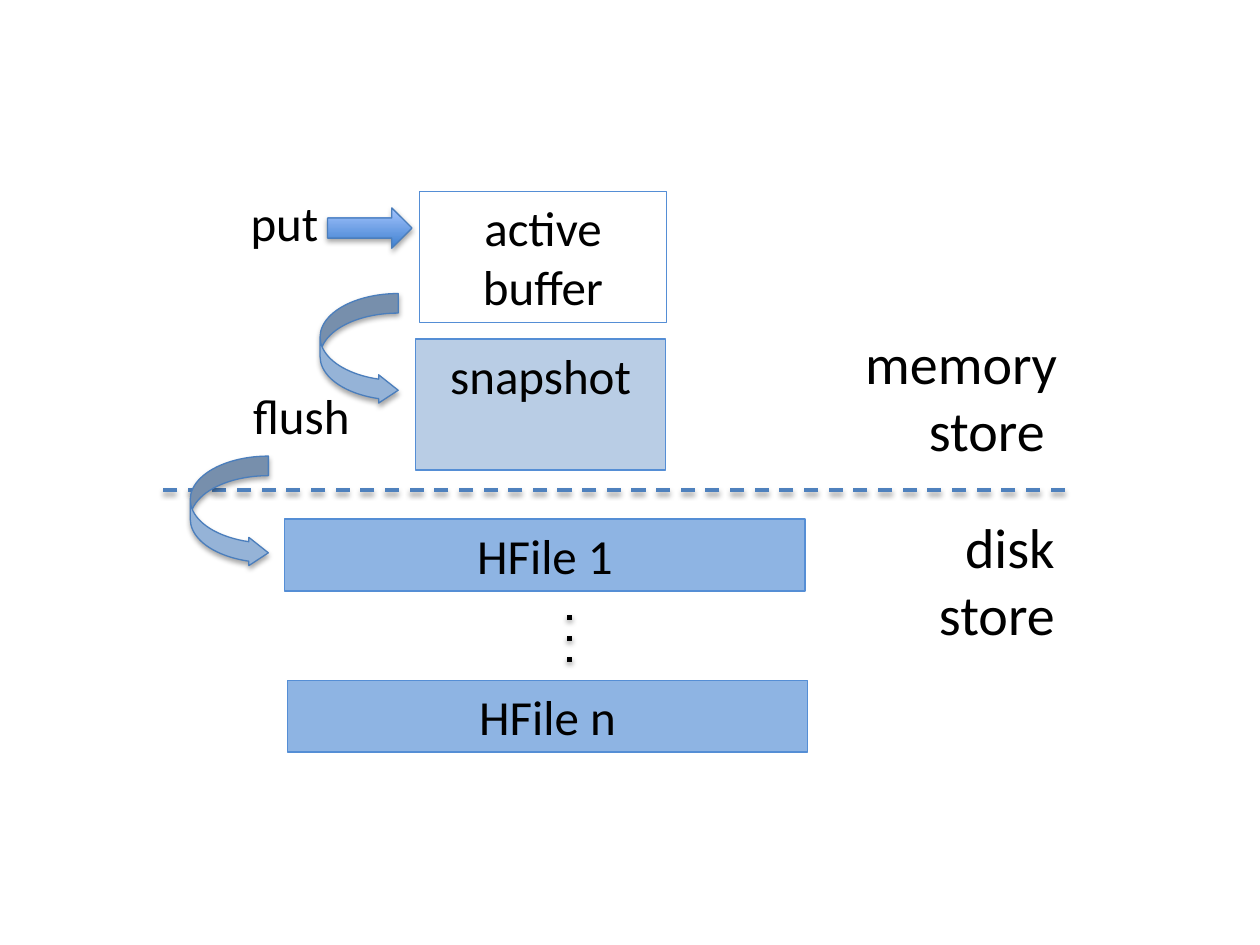
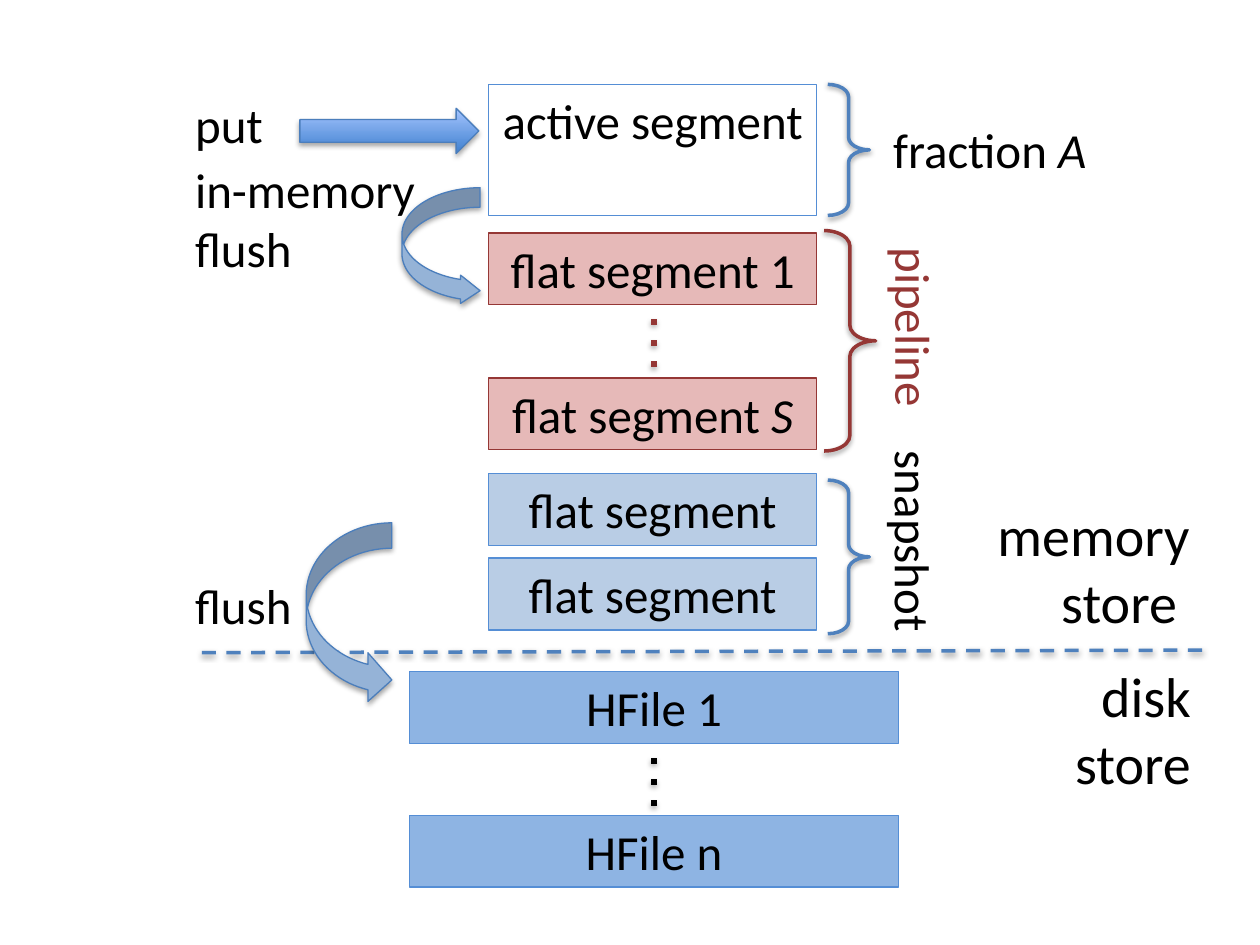
from lxml import etree
from pptx import Presentation
from pptx.dml.color import RGBColor
from pptx.enum.shapes import MSO_CONNECTOR, MSO_SHAPE
from pptx.enum.text import MSO_ANCHOR, MSO_AUTO_SIZE, PP_ALIGN
from pptx.oxml.ns import qn
from pptx.util import Inches, Pt

# Enum members
RECTANGLE = MSO_SHAPE.RECTANGLE
RIGHT_ARROW = MSO_SHAPE.RIGHT_ARROW
CURVED_ARROW = MSO_SHAPE.CURVED_RIGHT_ARROW
RIGHT_BRACE = MSO_SHAPE.RIGHT_BRACE
STRAIGHT = MSO_CONNECTOR.STRAIGHT
LEFT, CENTER, RIGHT = PP_ALIGN.LEFT, PP_ALIGN.CENTER, PP_ALIGN.RIGHT
TOP = MSO_ANCHOR.TOP
GROW = MSO_AUTO_SIZE.SHAPE_TO_FIT_TEXT

# Shared look
FONT = "Calibri"
BLACK = RGBColor(0x00, 0x00, 0x00)
ACCENT_BLUE = RGBColor(0x4F, 0x81, 0xBD)
BORDER_BLUE = RGBColor(0x55, 0x8E, 0xD5)
ARROW_BORDER = RGBColor(0x4B, 0x7E, 0xBC)
ARROW_DARK = RGBColor(0x3F, 0x80, 0xCE)
ARROW_LIGHT = RGBColor(0xA4, 0xC4, 0xFF)
CURVE_BLUE = RGBColor(0x95, 0xB3, 0xD7)
SNAPSHOT_BLUE = RGBColor(0xB9, 0xCD, 0xE5)
DISK_BLUE = RGBColor(0x8E, 0xB4, 0xE3)
PIPELINE_PINK = RGBColor(0xE6, 0xB9, 0xB8)
PIPELINE_RED = RGBColor(0x95, 0x37, 0x35)
BAR_HEIGHT = 0.57
TALL_HEIGHT = 1.04


# Basic parts; every box is (left, top, width, height) in inches
def inches(*lengths):
    return [Inches(length) for length in lengths]


def add_shadow(shape, opacity, distance):
    properties = shape._element.spPr
    effects = properties.find(qn("a:effectLst"))
    if effects is None:
        effects = etree.SubElement(properties, qn("a:effectLst"))
    shadow = etree.SubElement(effects, qn("a:outerShdw"), blurRad=str(Pt(3.1)),
                              dist=str(Pt(distance)), dir="5400000", rotWithShape="0")
    color = etree.SubElement(shadow, qn("a:srgbClr"), val=str(BLACK))
    etree.SubElement(color, qn("a:alpha"), val=str(opacity * 1000))


def write_text(shape, text, size=28, color=BLACK, align=LEFT, wrap=True, italic_tail=""):
    """Write one paragraph per line of text; italic_tail ends the last one."""
    frame = shape.text_frame
    frame.word_wrap = wrap
    frame.auto_size = GROW
    frame.vertical_anchor = TOP
    frame.text = text
    if italic_tail:
        frame.paragraphs[-1].add_run().text = italic_tail
    for paragraph in frame.paragraphs:
        paragraph.alignment = align
        for run in paragraph.runs:
            run.font.name = FONT
            run.font.size = Pt(size)
            run.font.color.rgb = color
    if italic_tail:
        frame.paragraphs[-1].runs[-1].font.italic = True


def add_label(slide, box, text, rotation=0, **text_format):
    label = slide.shapes.add_textbox(*inches(*box))
    label.rotation = rotation
    write_text(label, text, **text_format)


def add_outlined_shape(slide, kind, box, border, fill=None, width=0.75):
    shape = slide.shapes.add_shape(kind, *inches(*box))
    shape.shadow.inherit = False
    shape.line.color.rgb = border
    shape.line.width = Pt(width)
    if fill is None:
        shape.fill.background()
    else:
        shape.fill.solid()
        shape.fill.fore_color.rgb = fill
    return shape


def add_block(slide, box, text, fill=None, border=BORDER_BLUE, **text_format):
    block = add_outlined_shape(slide, RECTANGLE, box, border, fill)
    write_text(block, text, align=CENTER, **text_format)


def add_put_arrow(slide, box):
    arrow = add_outlined_shape(slide, RIGHT_ARROW, box, ARROW_BORDER)
    arrow.fill.gradient()
    arrow.fill.gradient_angle = 90
    for stop, color in zip(arrow.fill.gradient_stops, (ARROW_DARK, ARROW_LIGHT)):
        stop.color.rgb = color
    add_shadow(arrow, 35, 1.8)


def add_flush_arrow(slide, box, adjustments=(0.25, 0.362, 0.25)):
    arrow = add_outlined_shape(slide, CURVED_ARROW, box, ARROW_BORDER, CURVE_BLUE)
    for index, value in enumerate(adjustments):
        arrow.adjustments[index] = value
    add_shadow(arrow, 35, 1.8)


def add_brace(slide, box, color=ACCENT_BLUE):
    brace = add_outlined_shape(slide, RIGHT_BRACE, box, color, width=2)
    brace.adjustments[0] = 0.301
    add_shadow(brace, 38, 1.6)


def add_broken_line(slide, start, end, color, width, dash):
    line = slide.shapes.add_connector(STRAIGHT, *inches(*start, *end))
    line.line.color.rgb = color
    line.line.width = Pt(width)
    outline = line._element.spPr.find(qn("a:ln"))
    etree.SubElement(outline, qn("a:prstDash"), val=dash)
    add_shadow(line, 38, 1.6)


def add_dots(slide, x, top, color=BLACK):
    add_broken_line(slide, (x, top + 0.45), (x, top), color, 3, "dot")


# Regions
def draw_store_boundary(slide, start, end, memory_corner, disk_corner):
    """Dashed line with the store names above and below it."""
    add_broken_line(slide, start, end, ACCENT_BLUE, 2, "dash")
    add_label(slide, (*memory_corner, 1.79, 1.18), "memory store ", size=32, align=RIGHT)
    add_label(slide, (*disk_corner, 1.23, 1.18), "disk store", size=32, align=RIGHT)


def draw_disk_files(slide, box, dots_x, last_shift=0):
    """First and last file bars at the ends of the box, dots between them."""
    left, top, width, height = box
    add_block(slide, (left, top, width, BAR_HEIGHT), "HFile 1", DISK_BLUE)
    add_dots(slide, dots_x, top + height / 2 - 0.24)
    last_top = top + height - BAR_HEIGHT
    add_block(slide, (left + last_shift, last_top, width, BAR_HEIGHT), "HFile n", DISK_BLUE)


def draw_pipeline(slide, box):
    """Red flat segments with their brace and vertical name."""
    left, top, width, height = box
    pipeline = {"fill": PIPELINE_PINK, "border": PIPELINE_RED}
    add_block(slide, (left, top, width, BAR_HEIGHT), "flat segment 1", **pipeline)
    add_dots(slide, left + width / 2 + 0.01, top + 0.61, PIPELINE_RED)
    add_block(slide, (left, top + height - BAR_HEIGHT, width, BAR_HEIGHT),
              "flat segment ", italic_tail="S", **pipeline)
    add_brace(slide, (left + 2.66, top - 0.02, 0.41, height + 0.03), PIPELINE_RED)
    add_label(slide, (left + 2.62, top + 0.49, 1.52, BAR_HEIGHT), "pipeline",
              rotation=90, color=PIPELINE_RED, wrap=False)


def draw_snapshot(slide, box):
    """Two flat segments with their brace and vertical name."""
    left, top, width, height = box
    for row_top in (top, top + height - BAR_HEIGHT):
        add_block(slide, (left, row_top, width, BAR_HEIGHT), "flat segment", SNAPSHOT_BLUE)
    add_brace(slide, (left + 2.69, top + 0.05, 0.33, 1.22))
    add_label(slide, (left + 2.45, top + 0.36, 1.85, BAR_HEIGHT), "snapshot", rotation=90)


def draw_active_segment(slide, box):
    """Block that takes the puts, with its brace and fraction."""
    left, top, width, height = box
    add_block(slide, box, "active segment")
    add_brace(slide, (left + 2.69, top, 0.33, height))
    add_label(slide, (left + 3.11, top + 0.23, 1.84, BAR_HEIGHT), "fraction ",
              italic_tail="A", wrap=False)


# Slides
def build_buffer_slide(slide):
    draw_store_boundary(slide, (8.45, 3.89), (1.27, 3.89), (6.7, 2.56), (7.24, 4.02))
    add_block(slide, (3.33, 1.52, 1.96, TALL_HEIGHT), "active buffer")
    add_block(slide, (3.3, 2.69, 1.98, TALL_HEIGHT), "snapshot", SNAPSHOT_BLUE)
    draw_disk_files(slide, (2.26, 4.12, 4.13, 1.85), dots_x=4.52, last_shift=0.02)
    add_put_arrow(slide, (2.6, 1.65, 0.67, 0.32))
    for left, top in ((2.54, 2.33), (1.51, 3.62)):
        add_flush_arrow(slide, (left, top, 0.62, 0.88))
    add_label(slide, (1.89, 1.48, 0.75, BAR_HEIGHT), "put", wrap=False)
    add_label(slide, (1.91, 3.01, 0.98, BAR_HEIGHT), "flush", wrap=False)


def build_pipeline_slide(slide):
    segment_left, segment_width, label_left = 3.88, 2.6, 1.45
    draw_store_boundary(slide, (9.54, 5.16), (1.58, 5.18), (7.75, 3.92), (8.32, 5.2))
    draw_active_segment(slide, (segment_left, 0.67, segment_width, TALL_HEIGHT))
    draw_pipeline(slide, (segment_left, 1.85, segment_width, 1.72))
    draw_snapshot(slide, (segment_left, 3.76, segment_width, 1.24))
    draw_disk_files(slide, (3.25, 5.33, 3.88, 1.71), dots_x=5.19)
    add_put_arrow(slide, (2.38, 0.86, 1.42, 0.36))
    add_flush_arrow(slide, (3.19, 1.49, 0.62, 0.93))
    add_flush_arrow(slide, (2.43, 4.15, 0.68, 1.44), (0.296, 0.568, 0.279))
    add_label(slide, (label_left, 0.7, 0.75, BAR_HEIGHT), "put", wrap=False)
    add_label(slide, (label_left, 1.22, 1.97, TALL_HEIGHT), "in-memory\nflush", wrap=False)
    add_label(slide, (label_left, 4.52, 0.98, BAR_HEIGHT), "flush", wrap=False)


presentation = Presentation()
presentation.slide_width, presentation.slide_height = inches(10, 7.5)
blank_layout = presentation.slide_layouts[6]
for build_slide in (build_buffer_slide, build_pipeline_slide):
    build_slide(presentation.slides.add_slide(blank_layout))
presentation.save("out.pptx")
